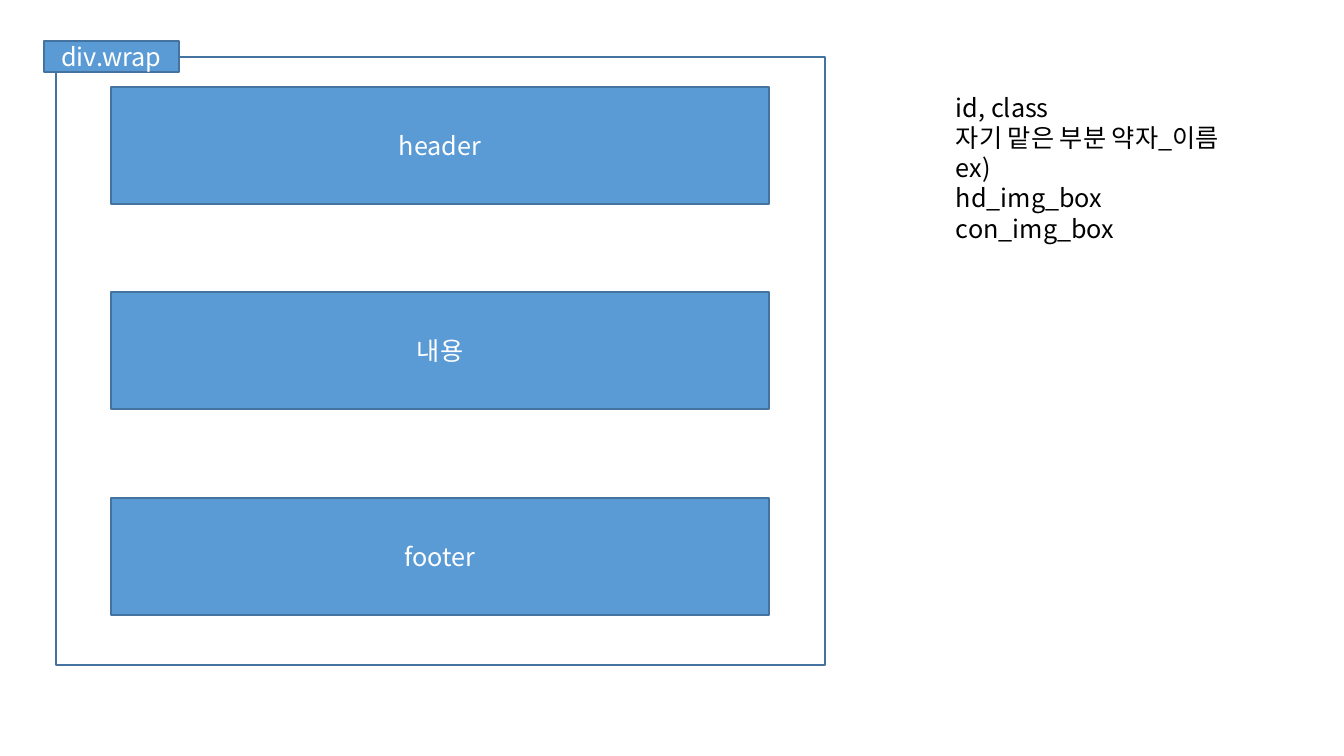
from lxml.etree import SubElement
from pptx import Presentation
from pptx.dml.color import RGBColor
from pptx.enum.shapes import MSO_SHAPE
from pptx.enum.text import MSO_ANCHOR, MSO_AUTO_SIZE, PP_ALIGN
from pptx.oxml.ns import qn
from pptx.util import Emu, Pt

SCALE = 914400 / 100.8


def px(size):
    return Emu(round(size * SCALE))


def color(code):
    return RGBColor.from_string(code)


class Board:
    """Holds the style and the current slide, and draws its elements."""

    font, size, pitch = "Noto Sans CJK KR", 18, 21.6
    white, black, blue, edge = "FFFFFF", "000000", "5B9BD5", "43739E"

    def __init__(self, slide):
        self.slide = slide

    def label(self, frame, text, tint, align):
        frame.text = text
        for para in frame.paragraphs:
            para.alignment = align
            para.line_spacing = Pt(self.pitch)
            for run in para.runs:
                run.font.name = self.font
                run.font.size = Pt(self.size)
                run.font.color.rgb = color(tint)
                props = run._r.get_or_add_rPr()
                SubElement(props, qn("a:ea")).set("typeface", self.font)

    def box(self, area, fill, text=""):
        shape = self.slide.shapes.add_shape(MSO_SHAPE.RECTANGLE, *map(px, area))
        shape.shadow.inherit = False
        shape.fill.solid()
        shape.fill.fore_color.rgb = color(fill)
        shape.line.color.rgb = color(self.edge)
        shape.line.width = Pt(1)
        if text:
            frame = shape.text_frame
            frame.vertical_anchor = MSO_ANCHOR.MIDDLE
            self.label(frame, text, self.white, PP_ALIGN.CENTER)

    def note(self, area, lines):
        frame = self.slide.shapes.add_textbox(*map(px, area)).text_frame
        frame.word_wrap = False
        frame.auto_size = MSO_AUTO_SIZE.SHAPE_TO_FIT_TEXT
        self.label(frame, "\n".join(lines), self.black, PP_ALIGN.LEFT)


deck = Presentation()
deck.slide_width, deck.slide_height = px(1344), px(756)
board = Board(deck.slides.add_slide(deck.slide_layouts[6]))

board.box((56, 57, 769, 608), board.white)
board.box((44, 41, 135, 31), board.blue, "div.wrap")
for row, name in enumerate(("header", "내용", "footer")):
    board.box((111, 87 + row * 411 // 2, 658, 117), board.blue, name)

board.note((946, 87, 312, 163), (
    "id, class",
    "자기 맡은 부분 약자_이름",
    "ex)",
    "hd_img_box",
    "con_img_box",
))

deck.save("out.pptx")
